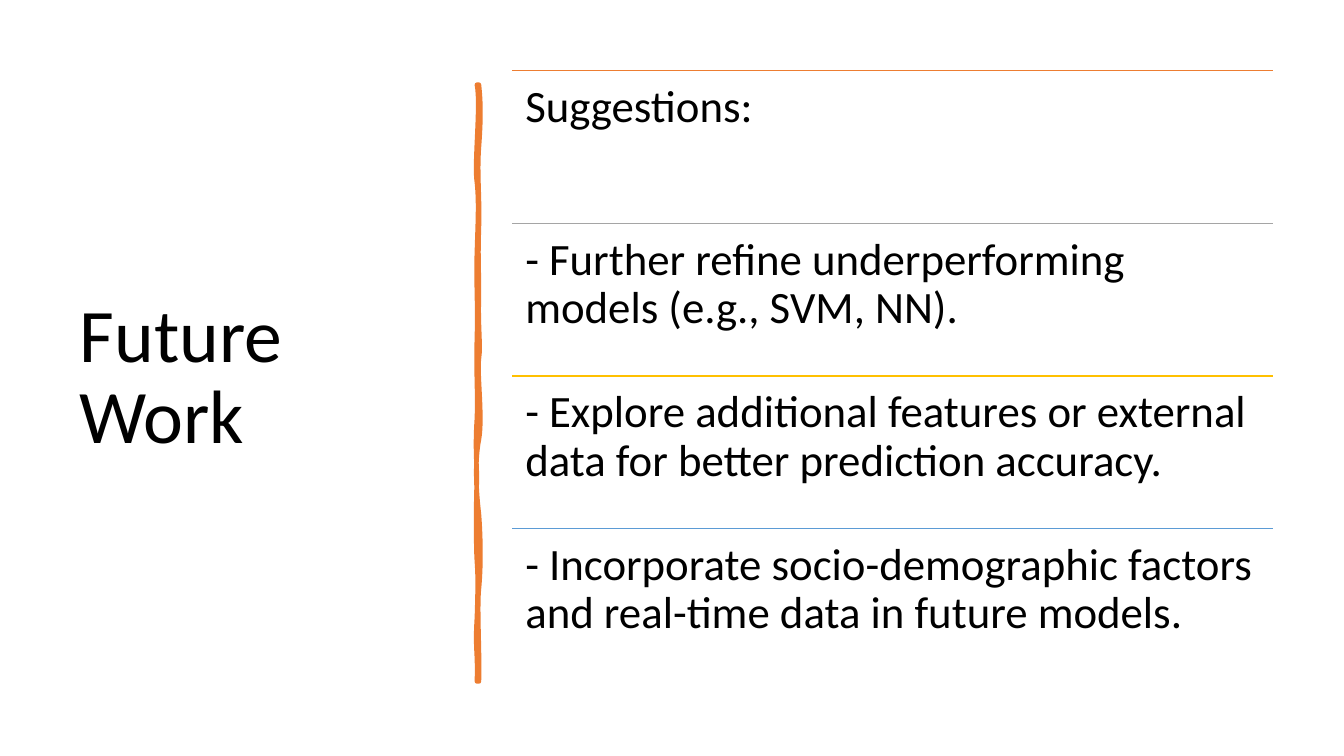
from pptx import Presentation
from pptx.dml.color import RGBColor
from pptx.enum.shapes import MSO_CONNECTOR
from pptx.enum.text import MSO_ANCHOR, MSO_AUTO_SIZE, PP_ALIGN
from pptx.oxml.ns import qn
from pptx.util import Inches, Pt
from lxml.etree import SubElement

BLACK = RGBColor(0x00, 0x00, 0x00)
WHITE = RGBColor(0xFF, 0xFF, 0xFF)
ORANGE = RGBColor(0xED, 0x7D, 0x31)
GRAY = RGBColor(0xA5, 0xA5, 0xA5)
GOLD = RGBColor(0xFF, 0xC0, 0x00)
BLUE = RGBColor(0x5B, 0x9B, 0xD5)

SUGGESTIONS = [
    ("Suggestions:", ORANGE),
    ("- Further refine underperforming models (e.g., SVM, NN).", GRAY),
    ("- Explore additional features or external data for better "
     "prediction accuracy.", GOLD),
    ("- Incorporate socio-demographic factors and real-time data in "
     "future models.", BLUE),
]
LIST_LEFT, LIST_TOP, LIST_WIDTH, LIST_BOTTOM = 5.08, 0.7, 7.55, 6.76
ROW_HEIGHT = (LIST_BOTTOM - LIST_TOP) / len(SUGGESTIONS)

# Brush stroke: start point, then curves as two controls and an end point
BRUSH_START = (4.75, 0.84)
BRUSH_CURVES = [
    ((4.77, 1.02), (4.77, 1.19), (4.75, 1.46)),
    ((4.73, 1.73), (4.76, 1.95), (4.75, 2.26)),
    ((4.74, 2.57), (4.75, 2.62), (4.75, 2.94)),
    ((4.74, 3.25), (4.77, 3.42), (4.75, 3.56)),
    ((4.73, 3.70), (4.79, 4.14), (4.75, 4.36)),
    ((4.71, 4.57), (4.72, 4.84), (4.75, 5.10)),
    ((4.77, 5.36), (4.77, 5.64), (4.75, 5.84)),
    ((4.73, 6.03), (4.76, 6.50), (4.75, 6.76)),
    ((4.74, 6.76), (4.73, 6.76), (4.73, 6.76)),
    ((4.74, 6.46), (4.71, 6.44), (4.73, 6.13)),
    ((4.74, 5.83), (4.74, 5.70), (4.73, 5.57)),
    ((4.72, 5.44), (4.72, 4.95), (4.73, 4.77)),
    ((4.73, 4.59), (4.71, 4.45), (4.73, 4.15)),
    ((4.74, 3.86), (4.72, 3.73), (4.73, 3.35)),
    ((4.74, 2.98), (4.72, 2.81), (4.73, 2.50)),
    ((4.74, 2.18), (4.75, 2.00), (4.73, 1.81)),
    ((4.70, 1.63), (4.77, 1.04), (4.73, 0.84)),
]


def write_text(frame, text, size, frame_format):
    for name, value in frame_format.items():
        setattr(frame, name, value)
    frame.text = text
    paragraph = frame.paragraphs[0]
    paragraph.alignment = PP_ALIGN.LEFT
    paragraph.line_spacing = 0.9
    font_format = {"name": "Calibri", "size": Pt(size)}
    font = paragraph.runs[0].font
    for name, value in font_format.items():
        setattr(font, name, value)
    font.color.rgb = BLACK


def add_title(slide):
    title = slide.shapes.title
    place = {"left": 0.69, "top": 0.7, "width": 3.74, "height": 6.11}
    for name, value in place.items():
        setattr(title, name, Inches(value))
    write_text(title.text_frame, "Future Work", 54, {
        "word_wrap": True,
        "auto_size": MSO_AUTO_SIZE.NONE,
        "vertical_anchor": MSO_ANCHOR.MIDDLE,
    })


def bend_segments(freeform):
    """Turn every three straight segments into one cubic curve."""
    segments = list(freeform.element.iter(qn("a:lnTo")))
    for first in range(0, len(segments), 3):
        curve, *rest = segments[first:first + 3]
        bent = SubElement(curve.getparent(), qn("a:cubicBezTo"))
        curve.addprevious(bent)
        for segment in (curve, *rest):
            bent.append(segment[0])
            segment.getparent().remove(segment)


def add_brush_divider(slide):
    x, y = BRUSH_START
    builder = slide.shapes.build_freeform(Inches(x), Inches(y))
    builder.add_line_segments(
        [(Inches(px), Inches(py)) for curve in BRUSH_CURVES for px, py in curve],
        close=True)
    divider = builder.convert_to_shape()
    bend_segments(divider)
    divider.shadow.inherit = False
    divider.fill.solid()
    divider.fill.fore_color.rgb = ORANGE
    divider.line.color.rgb = ORANGE
    divider.line.width = Pt(3.25)


def add_rule(slide, top, color):
    rule = slide.shapes.add_connector(
        MSO_CONNECTOR.STRAIGHT, Inches(LIST_LEFT), Inches(top),
        Inches(LIST_LEFT + LIST_WIDTH), Inches(top))
    rule.line.color.rgb = color
    rule.line.width = Pt(1)
    SubElement(rule.element.spPr, qn("a:effectLst"))


def add_suggestion(slide, top, text):
    suggestion = slide.shapes.add_textbox(
        Inches(LIST_LEFT), Inches(top), Inches(LIST_WIDTH), Inches(ROW_HEIGHT))
    margins = {f"margin_{side}": Inches(0.13)
               for side in ("left", "top", "right", "bottom")}
    write_text(suggestion.text_frame, text, 32, {
        "word_wrap": True, "vertical_anchor": MSO_ANCHOR.TOP, **margins})


def main():
    deck = Presentation()
    deck.slide_width, deck.slide_height = Inches(13.33), Inches(7.5)
    slide = deck.slides.add_slide(deck.slide_layouts[5])
    slide.background.fill.solid()
    slide.background.fill.fore_color.rgb = WHITE

    # Title and divider
    add_title(slide)
    add_brush_divider(slide)

    # Ruled list of suggestions
    for row, (text, color) in enumerate(SUGGESTIONS):
        top = LIST_TOP + row * ROW_HEIGHT
        add_rule(slide, top, color)
        add_suggestion(slide, top, text)

    deck.save("out.pptx")


if __name__ == "__main__":
    main()
